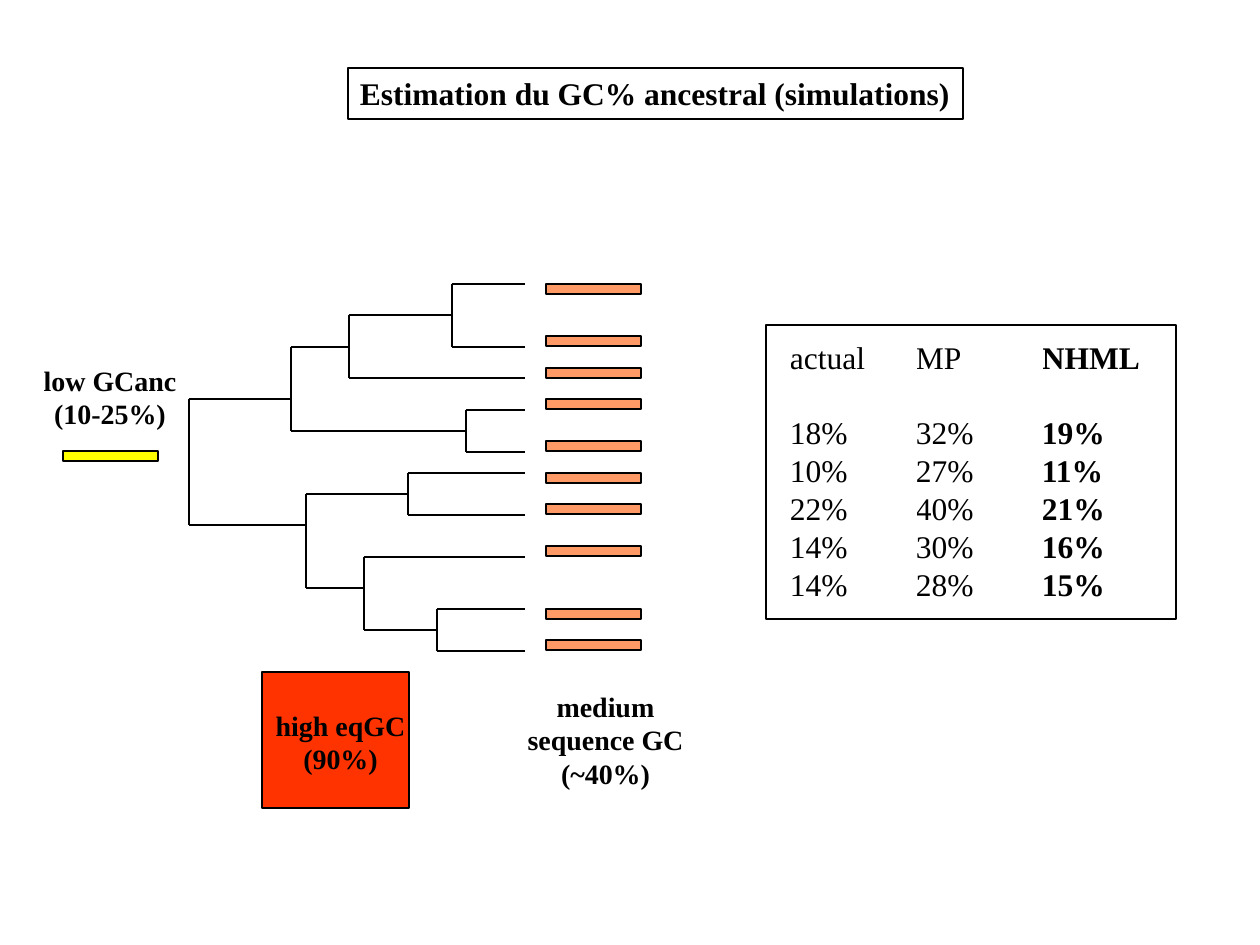
from dataclasses import dataclass

from lxml.etree import SubElement
from pptx import Presentation
from pptx.dml.color import RGBColor as Color
from pptx.enum.shapes import MSO_CONNECTOR as Link, MSO_SHAPE as Form
from pptx.enum.text import MSO_ANCHOR as Anchor, MSO_AUTO_SIZE as Fit, PP_ALIGN as Align
from pptx.oxml.ns import qn
from pptx.util import Emu, Pt


@dataclass(frozen=True)
class Theme:
    face: str = "Times New Roman"
    ink: str = "000000"
    red: str = "FF3300"
    peach: str = "FF9966"
    yellow: str = "FFFF00"
    large: int = 18
    small: int = 16
    rule: float = 0.75
    lead: float = 1.2


THEME = Theme()
SCALE = 914400 // 126

TIP = 525
TREE = (189, 462, [
    (291, 399, [
        (349, 347, [(452, 315, [284, 347]), 378]),
        (466, 431, [410, 452]),
    ]),
    (306, 525, [
        (408, 494, [473, 515]),
        (364, 588, [557, (437, 630, [609, 651])]),
    ]),
])
BARS = [284, 336, 368, 399, 441, 473, 504, 546, 609, 640]
LABELS = [
    ((31, 357, 158, 81), ["low GCanc", "(10-25%)"]),
    ((263, 702, 155, 81), ["high eqGC", "(90%)"]),
    ((515, 683, 181, 113), ["medium", "sequence GC", "(~40%)"]),
]
ROWS = [
    ("actual", "MP", "NHML"),
    ("18%", "32%", "19%"),
    ("10%", "27%", "11%"),
    ("22%", "40%", "21%"),
    ("14%", "30%", "16%"),
    ("14%", "28%", "15%"),
]


def px(count):
    return Emu(count * SCALE)


def place(box):
    return [px(side) for side in box]


def stroke(line):
    line.color.rgb = Color.from_string(THEME.ink)
    line.width = Pt(THEME.rule)


def style(para, size, bold, align=Align.LEFT):
    para.alignment = align
    para.line_spacing = Pt(size * THEME.lead)
    font = para.font
    font.name, font.size, font.bold = THEME.face, Pt(size), bold
    font.color.rgb = Color.from_string(THEME.ink)


def add_title(slide, box, text):
    title = slide.shapes.title
    title.left, title.top, title.width, title.height = place(box)
    stroke(title.line)
    frame = title.text_frame
    frame.text = text
    frame.margin_left, frame.margin_right = px(12), 0
    frame.word_wrap = False
    frame.auto_size = Fit.NONE
    frame.vertical_anchor = Anchor.TOP
    style(frame.paragraphs[0], THEME.large, True)


def add_rect(slide, box, fill=None):
    rect = slide.shapes.add_shape(Form.RECTANGLE, *place(box))
    rect.shadow.inherit = False
    stroke(rect.line)
    if fill:
        rect.fill.solid()
        rect.fill.fore_color.rgb = Color.from_string(fill)
    else:
        rect.fill.background()


def add_label(slide, box, lines):
    frame = slide.shapes.add_textbox(*place(box)).text_frame
    frame.word_wrap = False
    frame.text = "\n".join(lines)
    for para in frame.paragraphs:
        style(para, THEME.small, True, Align.CENTER)


def add_line(slide, start, end):
    line = slide.shapes.add_connector(Link.STRAIGHT, *place(start + end))
    stroke(line.line)
    SubElement(line.element.spPr, qn("a:effectLst"))


def add_tree(slide, node):
    left, _, kids = node
    ends = [kid[:2] if isinstance(kid, tuple) else (TIP, kid) for kid in kids]
    add_line(slide, (left, ends[0][1]), (left, ends[-1][1]))
    for kid, end in zip(kids, ends):
        add_line(slide, (left, end[1]), end)
        if isinstance(kid, tuple):
            add_tree(slide, kid)


def add_grid(slide, left, top, wide, high, head):
    count = len(ROWS[0])
    box = (left, top, wide * count, head + high * (len(ROWS) - 1))
    grid = slide.shapes.add_table(len(ROWS), count, *place(box)).table
    grid.first_row = grid.horz_banding = False
    for row, (line, texts) in enumerate(zip(grid.rows, ROWS)):
        line.height = px(high if row else head)
        for col, (cell, text) in enumerate(zip(line.cells, texts)):
            cell.fill.background()
            cell.margin_left = cell.margin_right = 0
            cell.margin_top = cell.margin_bottom = 0
            cell.text = text
            style(cell.text_frame.paragraphs[0], THEME.large, col == count - 1)


def main():
    deck = Presentation()
    deck.slide_width, deck.slide_height = px(1260), px(945)
    slide = deck.slides.add_slide(deck.slide_layouts[5])
    add_title(slide, (348, 68, 615, 51), "Estimation du GC% ancestral (simulations)")
    add_tree(slide, TREE)
    add_rect(slide, (262, 672, 147, 136), THEME.red)
    for top in BARS:
        add_rect(slide, (546, top, 95, 10), THEME.peach)
    add_rect(slide, (63, 451, 95, 10), THEME.yellow)
    for box, lines in LABELS:
        add_label(slide, box, lines)
    add_rect(slide, (766, 325, 410, 294))
    add_grid(slide, 790, 338, 126, 38, 75)
    deck.save("out.pptx")


if __name__ == "__main__":
    main()
